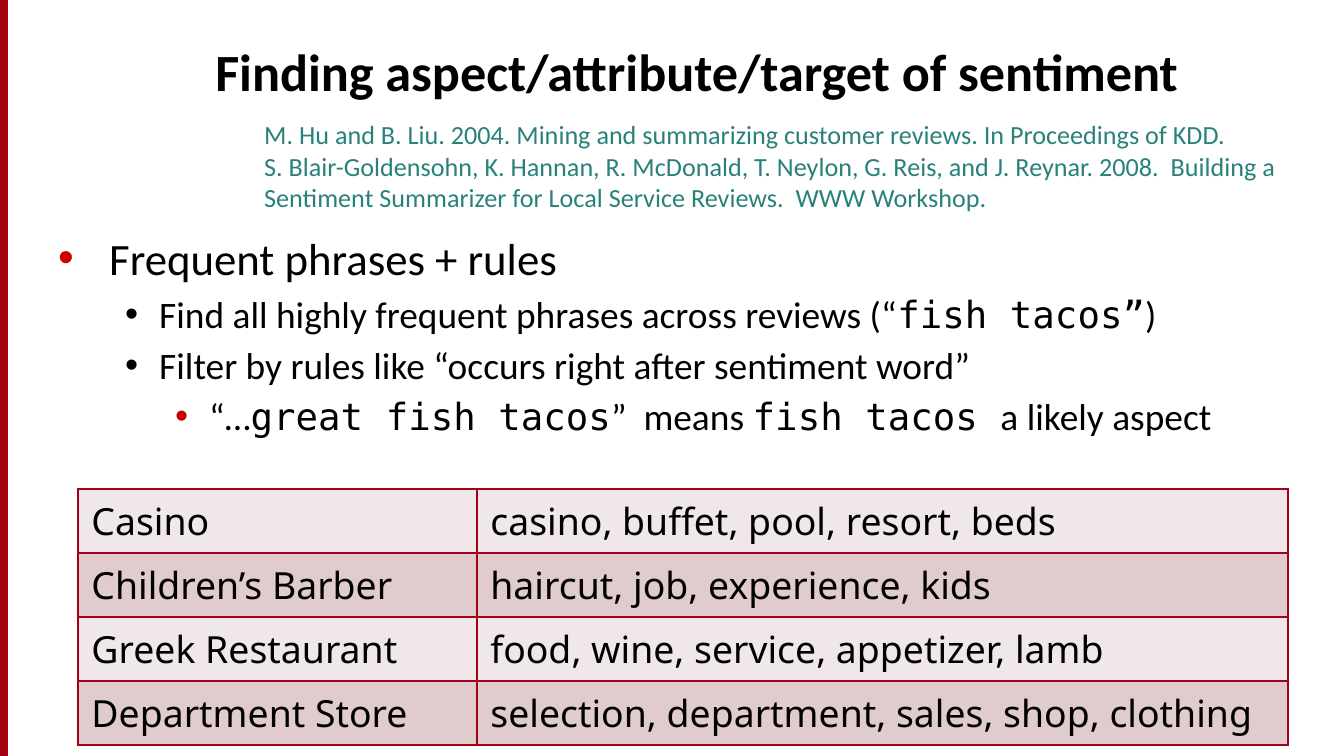
import pptx
import pptx.dml.color
import pptx.enum.shapes
import pptx.enum.text
import pptx.oxml
import pptx.oxml.ns
import pptx.util

PX = 9144000 / 1344  # EMU per pixel
COLORS = {
    "black": "000000",
    "crimson": "A4001D",
    "bar": "A40508",
    "bullet": "CC0000",
    "teal": "28817A",
    "light": "F0E7E8",
    "dark": "E0CCCD",
}
SANS, MONO, TABLE_FONT = "Calibri", "DejaVu Sans Mono", "Noto Sans"


def px(*values):
    return [round(value * PX) for value in values]


def style(paragraph, size, name, color="black", bold=False):
    paragraph.font.size = pptx.util.Pt(size)
    paragraph.font.name = name
    paragraph.font.bold = bold
    paragraph.font.color.rgb = pptx.dml.color.RGBColor.from_string(COLORS[color])


presentation = pptx.Presentation()
presentation.slide_width, presentation.slide_height = px(1344, 756)
slide = presentation.slides.add_slide(presentation.slide_layouts[6])
shapes = slide.shapes

# Bar along the left edge
bar = shapes.add_shape(pptx.enum.shapes.MSO_SHAPE.RECTANGLE, *px(0, 0, 7, 756))
bar.shadow.inherit = False
bar.fill.solid()
bar.fill.fore_color.rgb = pptx.dml.color.RGBColor.from_string(COLORS["bar"])
bar.line.color.rgb = pptx.dml.color.RGBColor.from_string(COLORS["crimson"])
bar.line.width = pptx.util.Pt(0.75)

# Title
title = shapes.add_textbox(*px(202, 31, 1098, 78)).text_frame
title.word_wrap = True
title.vertical_anchor = pptx.enum.text.MSO_ANCHOR.BOTTOM
title.text = "Finding aspect/attribute/target of sentiment"
style(title.paragraphs[0], 28, SANS, bold=True)

# Bulleted body: level, size, space before, left margin, hang, bullet colour, runs
BODY = [
    (0, 24, 2, 51, 51, "bullet", [("Frequent phrases + rules", SANS)]),
    (1, 20, 3.5, 101, 34, "black", [
        ("Find all highly frequent phrases across reviews (“", SANS),
        ("fish tacos”", MONO),
        (")", SANS),
    ]),
    (1, 20, 3.5, 101, 34, "black", [
        ("Filter by rules like “occurs right after sentiment word”", SANS),
    ]),
    (2, 20, 3.5, 151, 34, "bullet", [
        ("“…", SANS),
        ("great fish tacos", MONO),
        ("”  means ", SANS),
        ("fish tacos ", MONO),
        ("a likely aspect", SANS),
    ]),
]
body = shapes.add_textbox(*px(45, 224, 1254, 491)).text_frame
body.word_wrap = True
for index, (level, size, before, margin, hang, bullet, runs) in enumerate(BODY):
    paragraph = body.add_paragraph() if index else body.paragraphs[0]
    paragraph.level = level
    paragraph.space_before = pptx.util.Pt(before)
    style(paragraph, size, SANS)
    for text, font_name in runs:
        run = paragraph.add_run()
        run.text = text
        if font_name != SANS:
            run.font.name = font_name
    properties = paragraph._p.get_or_add_pPr()
    properties.set("marL", str(px(margin)[0]))
    properties.set("indent", str(px(-hang)[0]))
    namespace = pptx.oxml.ns.nsdecls("a")
    for xml in (
        f'<a:buClr {namespace}><a:srgbClr val="{COLORS[bullet]}"/></a:buClr>',
        f'<a:buFont {namespace} typeface="Arial"/>',
        f'<a:buChar {namespace} char="•"/>',
    ):
        properties.insert_element_before(pptx.oxml.parse_xml(xml), "a:defRPr")

# Table of aspects by business
ASPECTS = [
    ("Casino", "casino, buffet, pool, resort, beds"),
    ("Children’s Barber", "haircut, job, experience, kids"),
    ("Greek Restaurant", "food, wine, service, appetizer, lamb"),
    ("Department Store", "selection, department, sales, shop, clothing"),
]
table = shapes.add_table(len(ASPECTS), 2, *px(78, 489, 1210, 256)).table
table.first_row = False
table.horz_banding = False
table.columns[0].width, table.columns[1].width = px(399, 811)
for row_index, row in enumerate(ASPECTS):
    band = COLORS["dark" if row_index % 2 else "light"]
    for column_index, text in enumerate(row):
        cell = table.cell(row_index, column_index)
        cell.text = text
        style(cell.text_frame.paragraphs[0], 20, TABLE_FONT)
        cell.fill.solid()
        cell.fill.fore_color.rgb = pptx.dml.color.RGBColor.from_string(band)
        # Borders come before the fill in the cell properties
        for position, side in enumerate(("lnL", "lnR", "lnT", "lnB")):
            border = pptx.oxml.parse_xml(
                f'<a:{side} {pptx.oxml.ns.nsdecls("a")} w="12700"><a:solidFill>'
                f'<a:srgbClr val="{COLORS["crimson"]}"/></a:solidFill></a:{side}>'
            )
            cell._tc.get_or_add_tcPr().insert(position, border)

# Citations
CITATIONS = [
    "M. Hu and B. Liu. 2004. Mining and summarizing customer reviews. "
    "In Proceedings of KDD.",
    "S. Blair-Goldensohn, K. Hannan, R. McDonald, T. Neylon, G. Reis, and "
    "J. Reynar. 2008.  Building a Sentiment Summarizer for Local Service "
    "Reviews.  WWW Workshop.",
]
citations = shapes.add_textbox(*px(251, 109, 1059, 111)).text_frame
citations.word_wrap = True
citations.text = "\n".join(CITATIONS)
for paragraph in citations.paragraphs:
    style(paragraph, 14, SANS, "teal")
citations.paragraphs[0].line_spacing = 1.1

presentation.save("out.pptx")
